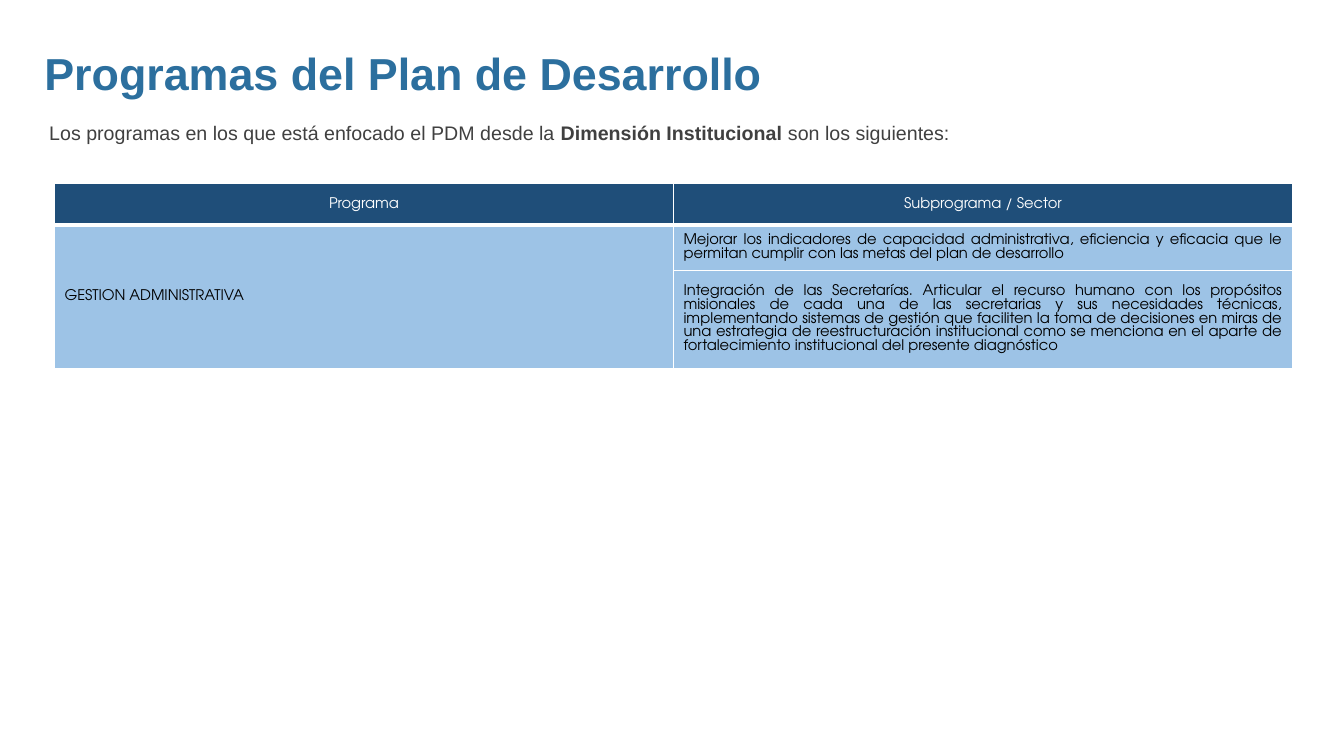
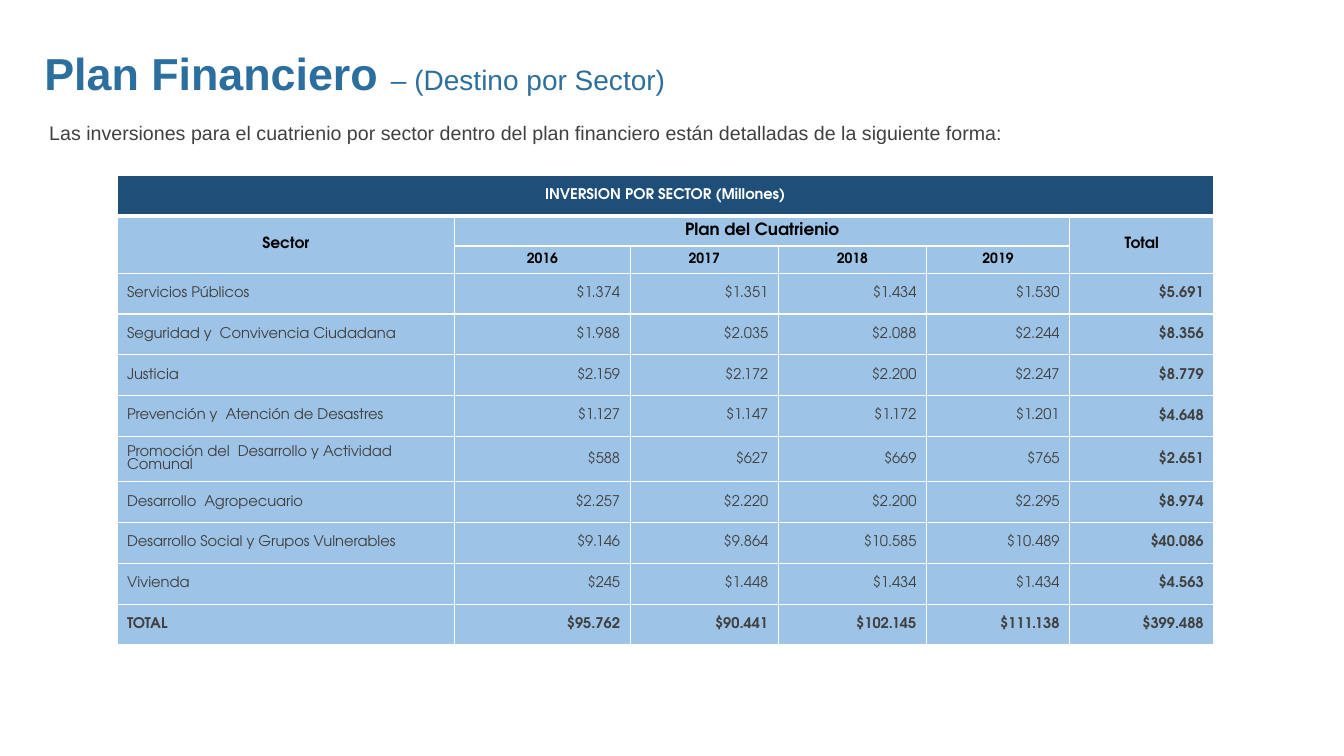
import pptx
import pptx.util
import pptx.dml.color
import pptx.enum.text
from dataclasses import dataclass
from lxml import etree
from pptx.util import Inches

ALIGN = pptx.enum.text.PP_ALIGN
ANCHOR = pptx.enum.text.MSO_ANCHOR
SIDES = ("lnL", "lnR", "lnT", "lnB")


@dataclass(frozen=True)
class Theme:
    blue: str = "2C6F9E"
    navy: str = "1F4E79"
    sky: str = "9DC3E6"
    gray: str = "404040"
    black: str = "000000"
    white: str = "FFFFFF"
    sans: str = "Arial"
    geo: str = "TeX Gyre Adventor"
    title: float = 32
    sub: float = 20
    body: float = 14
    group: float = 12
    head: float = 11
    cell: float = 10.5
    year: float = 10


THEME = Theme()

PROGRAMS = (
    "Mejorar los indicadores de capacidad administrativa, eficiencia y eficacia "
    "que le permitan cumplir con las metas del plan de desarrollo",
    "Integración de las Secretarías. Articular el recurso humano con los propósitos "
    "misionales de cada una de las secretarias y sus necesidades técnicas, "
    "implementando sistemas de gestión que faciliten la toma de decisiones en miras "
    "de una estrategia de reestructuración institucional como se menciona en el "
    "aparte de fortalecimiento institucional del presente diagnóstico",
)
YEARS = ("2016", "2017", "2018", "2019")
SECTORS = (
    ("Servicios Públicos", "$1.374", "$1.351", "$1.434", "$1.530", "$5.691"),
    ("Seguridad y  Convivencia Ciudadana", "$1.988", "$2.035", "$2.088", "$2.244", "$8.356"),
    ("Justicia", "$2.159", "$2.172", "$2.200", "$2.247", "$8.779"),
    ("Prevención y  Atención de Desastres", "$1.127", "$1.147", "$1.172", "$1.201", "$4.648"),
    ("Promoción del  Desarrollo y Actividad  Comunal", "$588", "$627", "$669", "$765", "$2.651"),
    ("Desarrollo  Agropecuario", "$2.257", "$2.220", "$2.200", "$2.295", "$8.974"),
    ("Desarrollo Social y Grupos Vulnerables", "$9.146", "$9.864", "$10.585", "$10.489", "$40.086"),
    ("Vivienda", "$245", "$1.448", "$1.434", "$1.434", "$4.563"),
    ("TOTAL", "$95.762", "$90.441", "$102.145", "$111.138", "$399.488"),
)


# Text
def rgb(color):
    return pptx.dml.color.RGBColor.from_string(color)


def style(para, size, color, face, bold=False, align=ALIGN.LEFT):
    para.alignment = align
    font = para.font
    font.name, font.size, font.bold = face, pptx.util.Pt(size), bold
    font.color.rgb = rgb(color)


def add_run(para, text, bold=None, size=None):
    run = para.add_run()
    run.text = text
    if bold is not None:
        run.font.bold = bold
    if size:
        run.font.size = pptx.util.Pt(size)


def place(shape, left, top, width, height):
    shape.left, shape.top = Inches(left), Inches(top)
    shape.width, shape.height = Inches(width), Inches(height)
    frame = shape.text_frame
    frame.word_wrap = True
    frame.vertical_anchor = ANCHOR.TOP
    frame.auto_size = pptx.enum.text.MSO_AUTO_SIZE.SHAPE_TO_FIT_TEXT
    return frame.paragraphs[0]


# Slide with title and lead line
def add_slide(deck, title, lead, sub=None):
    slide = deck.slides.add_slide(deck.slide_layouts[5])
    para = place(slide.shapes.title, 0.34, 0.4, 8.96, 0.64)
    style(para, THEME.title, THEME.blue, THEME.sans, True)
    add_run(para, title)
    if sub:
        add_run(para, sub, False, THEME.sub)

    box = slide.shapes.add_textbox(0, 0, 0, 0)
    para = place(box, 0.39, 1.15, 12.43, 0.34)
    style(para, THEME.body, THEME.gray, THEME.sans, align=ALIGN.JUSTIFY)
    for text, bold in lead:
        add_run(para, text, bold)
    return slide


# Tables
def edge(cell, base):
    props = cell._tc.get_or_add_tcPr()
    for at, side in enumerate(SIDES):
        width = base if side == "lnB" else 1
        line = etree.Element(pptx.oxml.ns.qn("a:" + side), w=str(pptx.util.Pt(width)))
        fill = etree.SubElement(line, pptx.oxml.ns.qn("a:solidFill"))
        etree.SubElement(fill, pptx.oxml.ns.qn("a:srgbClr"), val=THEME.white)
        props.insert(at, line)


def add_grid(slide, left, top, cols, rows):
    frame = slide.shapes.add_table(
        len(rows), len(cols), Inches(left), Inches(top),
        Inches(sum(cols)), Inches(sum(rows)))
    grid = frame.table
    grid.first_row = grid.horz_banding = False
    for col, width in zip(grid.columns, cols):
        col.width = Inches(width)
    for at, (row, height) in enumerate(zip(grid.rows, rows)):
        row.height = Inches(height)
        for cell in row.cells:
            cell.fill.solid()
            cell.fill.fore_color.rgb = rgb(THEME.sky if at else THEME.navy)
            cell.vertical_anchor = ANCHOR.MIDDLE
            edge(cell, 1 if at else 3)
    return grid


def write(cell, text, size=THEME.cell, color=THEME.black, bold=False, align=ALIGN.CENTER):
    para = cell.text_frame.paragraphs[0]
    add_run(para, text)
    style(para, size, color, THEME.geo, bold, align)


def add_programs(slide):
    grid = add_grid(slide, 0.54, 1.82, [6.14] * 2, [0.41, 0.45, 0.97])
    for col, text in enumerate(("Programa", "Subprograma / Sector")):
        write(grid.cell(0, col), text, color=THEME.white)
    grid.cell(1, 0).merge(grid.cell(2, 0))
    write(grid.cell(1, 0), "GESTION ADMINISTRATIVA", align=ALIGN.LEFT)
    for row, text in enumerate(PROGRAMS, 1):
        write(grid.cell(row, 1), text, align=ALIGN.JUSTIFY)


def add_sectors(slide):
    even = 3.24 / 8  # the one-line rows share this height
    rows = [0.4, 0.3, 0.27] + [even] * 4 + [0.45] + [even] * 4
    grid = add_grid(slide, 1.16, 1.74, [3.35, 1.74, 1.47, 1.47, 1.42, 1.43], rows)

    # Merged headings: first cell, last cell, text, size, colour
    heads = (
        ((0, 0), (0, 5), "INVERSION POR SECTOR (Millones)", THEME.cell, THEME.white),
        ((1, 0), (2, 0), "Sector", THEME.head, THEME.black),
        ((1, 1), (1, 4), "Plan del Cuatrienio", THEME.group, THEME.black),
        ((1, 5), (2, 5), "Total", THEME.head, THEME.black),
    )
    for start, end, text, size, color in heads:
        grid.cell(*start).merge(grid.cell(*end))
        write(grid.cell(*start), text, size, color, True)
    for col, year in enumerate(YEARS, 1):
        write(grid.cell(2, col), year, THEME.year, bold=True)

    # Amounts, with bold totals
    for row, items in enumerate(SECTORS, 3):
        for col, text in enumerate(items):
            bold = col == 5 or items[0] == "TOTAL"
            align = ALIGN.RIGHT if col else ALIGN.LEFT
            write(grid.cell(row, col), text, color=THEME.gray, bold=bold, align=align)


def main():
    deck = pptx.Presentation()
    deck.slide_width, deck.slide_height = Inches(13.33), Inches(7.5)
    add_programs(add_slide(deck, "Programas del Plan de Desarrollo", (
        ("Los programas en los que está enfocado el PDM desde la ", False),
        ("Dimensión Institucional ", True),
        ("son los siguientes:", False))))
    add_sectors(add_slide(deck, "Plan Financiero ", (
        ("Las inversiones para el cuatrienio por sector dentro del plan financiero "
         "están detalladas de la siguiente forma:", None),),
        "– (Destino por Sector)"))
    deck.save("out.pptx")


if __name__ == "__main__":
    main()
